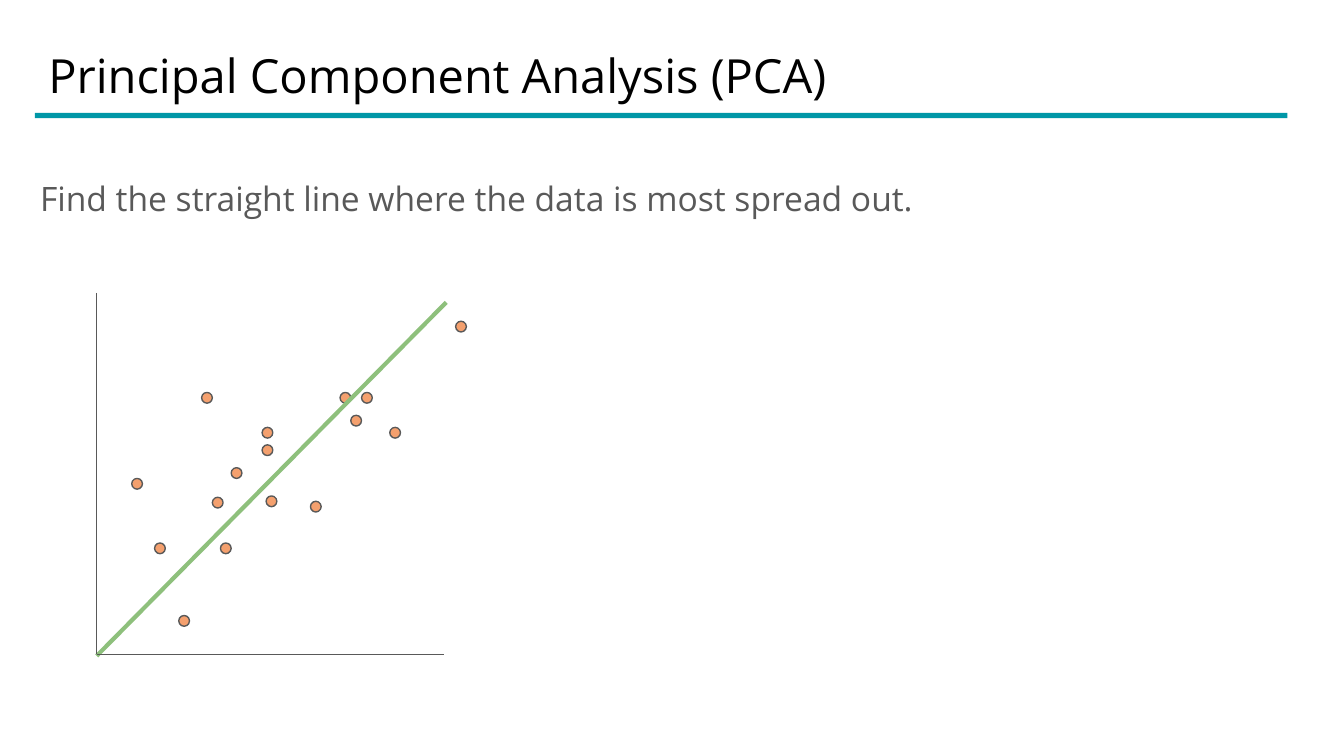
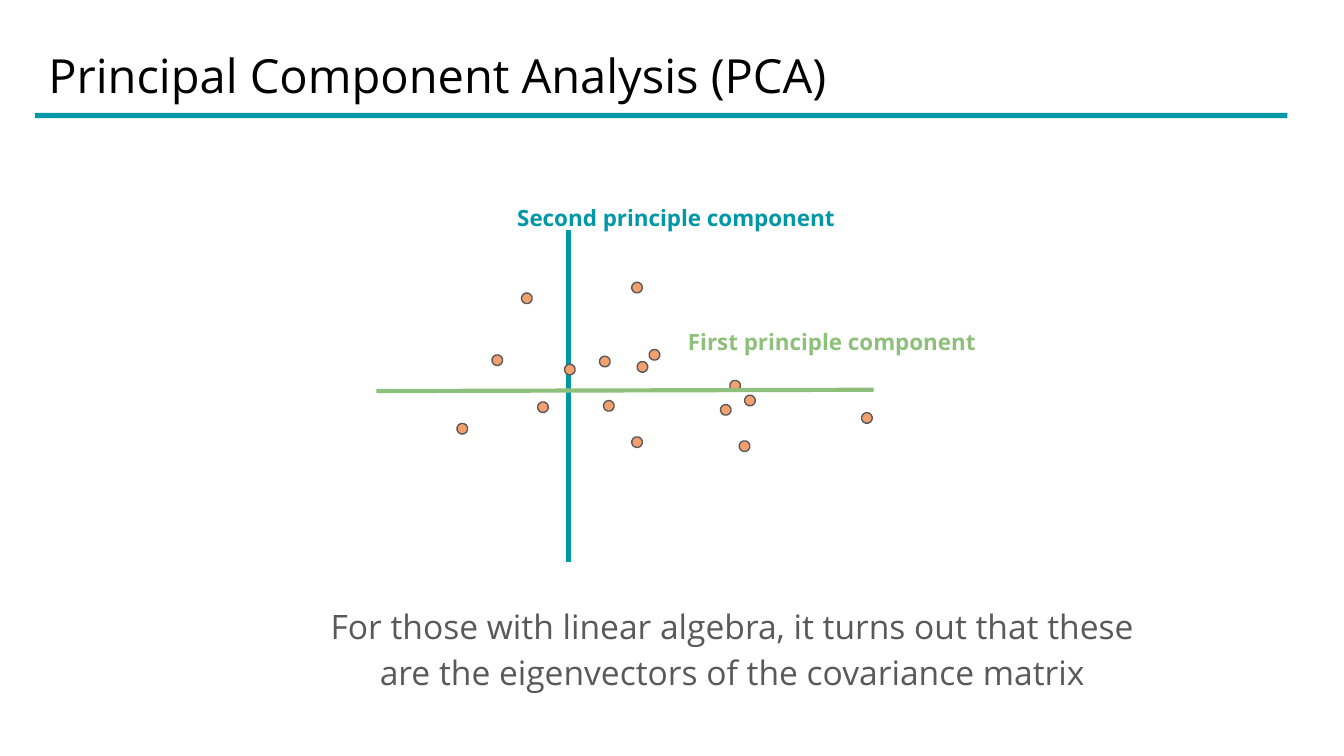
from dataclasses import dataclass
from math import cos, radians, sin

from lxml import etree
from pptx import Presentation
from pptx.dml.color import RGBColor
from pptx.enum.shapes import MSO_CONNECTOR, MSO_SHAPE
from pptx.enum.text import MSO_ANCHOR, MSO_AUTO_SIZE, PP_ALIGN
from pptx.oxml.ns import qn
from pptx.util import Inches, Pt

STRAIGHT = MSO_CONNECTOR.STRAIGHT
RECT, OVAL = MSO_SHAPE.RECTANGLE, MSO_SHAPE.OVAL
TOP, MIDDLE = MSO_ANCHOR.TOP, MSO_ANCHOR.MIDDLE
FIXED, GROW = MSO_AUTO_SIZE.NONE, MSO_AUTO_SIZE.SHAPE_TO_FIT_TEXT
LEFT, CENTER = PP_ALIGN.LEFT, PP_ALIGN.CENTER

BLACK = RGBColor(0x00, 0x00, 0x00)
WHITE = RGBColor(0xFF, 0xFF, 0xFF)
GRAY = RGBColor(0x59, 0x59, 0x59)
TEAL = RGBColor(0x00, 0x97, 0xA7)
GREEN = RGBColor(0x8E, 0xC0, 0x7C)
ORANGE = RGBColor(0xF4, 0xA0, 0x6E)

WIDTH = Inches(10)
HEIGHT = WIDTH * 9 // 16
FONT = "Open Sans"
TITLE = "Principal Component Analysis (PCA)"
DOT = 0.08
TURN = 45.2
PIVOT = (1.5, 2.92)
TARGET = (4.7, 2.1)

POINTS = [
    (1.5, 2.92), (1.95, 3.18), (1.72, 3.48), (1.95, 3.31),
    (1.64, 4.04), (2.61, 3.09), (2.69, 2.92), (1.15, 4.04),
    (2.31, 3.73), (2.9, 3.18), (1.33, 4.58), (1.98, 3.69),
    (0.98, 3.56), (3.39, 2.39), (1.58, 3.7), (2.53, 2.92),
]


@dataclass(frozen=True)
class Line:
    start: tuple[float, float]
    end: tuple[float, float]
    color: RGBColor
    width: float


@dataclass(frozen=True)
class Label:
    text: str
    box: tuple[float, float, float, float]
    size: float
    color: RGBColor
    bold: bool = False
    align: PP_ALIGN = LEFT
    anchor: MSO_ANCHOR = TOP
    fit: MSO_AUTO_SIZE = GROW
    spacing: float = 1.0
    after: float = 0


HEAD = Label(TITLE, (0.26, 0.24, 9.32, 0.63), 25.2, BLACK, anchor=MIDDLE, fit=FIXED)
GOAL = Label("Find the straight line where the data is most spread out.",
             (0.2, 1.18, 9.6, 0.83), 18, GRAY, fit=FIXED, spacing=1.15, after=12)
SECOND = Label("Second principle component", (3.75, 1.42, 3.41, 0.4), 12, TEAL, True)
FIRST = Label("First principle component", (5.02, 2.34, 3.41, 0.4), 12, GREEN, True)
REMARK = Label("For those with linear algebra, it turns out that these are the "
               "eigenvectors of the covariance matrix",
               (2.17, 4.36, 6.56, 0.85), 18, GRAY, align=CENTER, spacing=1.15, after=12)

FIT_LINE = Line((3.32, 2.25), (0.72, 4.88), GREEN, 2.25)
AXES = [
    Line((0.72, 2.18), (0.72, 4.87), GRAY, 0.75),
    Line((0.72, 4.87), (3.3, 4.87), GRAY, 0.75),
]
SECOND_LINE = Line((4.23, 1.71), (4.23, 4.18), TEAL, 2.25)
FIRST_LINE = Line((6.5, 2.9), (2.8, 2.91), GREEN, 2.25)


def write(shape, label: Label) -> None:
    frame = shape.text_frame
    frame.text = label.text
    frame.word_wrap = True
    frame.auto_size = label.fit
    frame.vertical_anchor = label.anchor
    frame.margin_left = frame.margin_right = Inches(0.1)
    frame.margin_top = frame.margin_bottom = Inches(0.1)
    for par in frame.paragraphs:
        par.alignment = label.align
        par.line_spacing = label.spacing
        par.space_after = Pt(label.after)
        for run in par.runs:
            run.font.name = FONT
            run.font.size = Pt(label.size)
            run.font.bold = label.bold
            run.font.color.rgb = label.color


def add_label(slide, label: Label) -> None:
    write(slide.shapes.add_textbox(*map(Inches, label.box)), label)


def add_line(slide, line: Line) -> None:
    ends = map(Inches, line.start + line.end)
    link = slide.shapes.add_connector(STRAIGHT, *ends)
    link.line.color.rgb = line.color
    link.line.width = Pt(line.width)
    etree.SubElement(link._element.spPr, qn("a:effectLst"))


def rotate(point: tuple[float, float]) -> tuple[float, float]:
    dx, dy = point[0] - PIVOT[0], point[1] - PIVOT[1]
    angle = radians(TURN)
    return (round(TARGET[0] + dx * cos(angle) - dy * sin(angle), 2),
            round(TARGET[1] + dx * sin(angle) + dy * cos(angle), 2))


def add_dots(slide, points: list[tuple[float, float]], turn: float = 0) -> None:
    group = slide.shapes.add_group_shape()
    for left, top in points:
        dot = group.shapes.add_shape(
            OVAL, Inches(left), Inches(top), Inches(DOT), Inches(DOT))
        dot.rotation = turn
        dot.shadow.inherit = False
        dot.fill.solid()
        dot.fill.fore_color.rgb = ORANGE
        dot.line.color.rgb = GRAY
        dot.line.width = Pt(0.75)


def add_slide(deck):
    slide = deck.slides.add_slide(deck.slide_layouts[5])
    slide.background.fill.solid()
    slide.background.fill.fore_color.rgb = WHITE
    title = slide.shapes.title
    title.left, title.top, title.width, title.height = map(Inches, HEAD.box)
    write(title, HEAD)
    bar = slide.shapes.add_shape(
        RECT, Inches(0.26), Inches(0.84), Inches(9.32), Inches(0.04))
    bar.shadow.inherit = False
    bar.fill.solid()
    bar.fill.fore_color.rgb = TEAL
    bar.line.fill.background()
    return slide


def draw_spread(deck) -> None:
    slide = add_slide(deck)
    add_label(slide, GOAL)
    add_dots(slide, POINTS)
    for line in [FIT_LINE, *AXES]:
        add_line(slide, line)


def draw_parts(deck) -> None:
    slide = add_slide(deck)
    add_line(slide, SECOND_LINE)
    for label in (SECOND, FIRST):
        add_label(slide, label)
    add_dots(slide, [rotate(point) for point in POINTS], TURN)
    add_line(slide, FIRST_LINE)
    add_label(slide, REMARK)


def main() -> None:
    deck = Presentation()
    deck.slide_width, deck.slide_height = WIDTH, HEIGHT
    draw_spread(deck)
    draw_parts(deck)
    deck.save("out.pptx")


if __name__ == "__main__":
    main()
